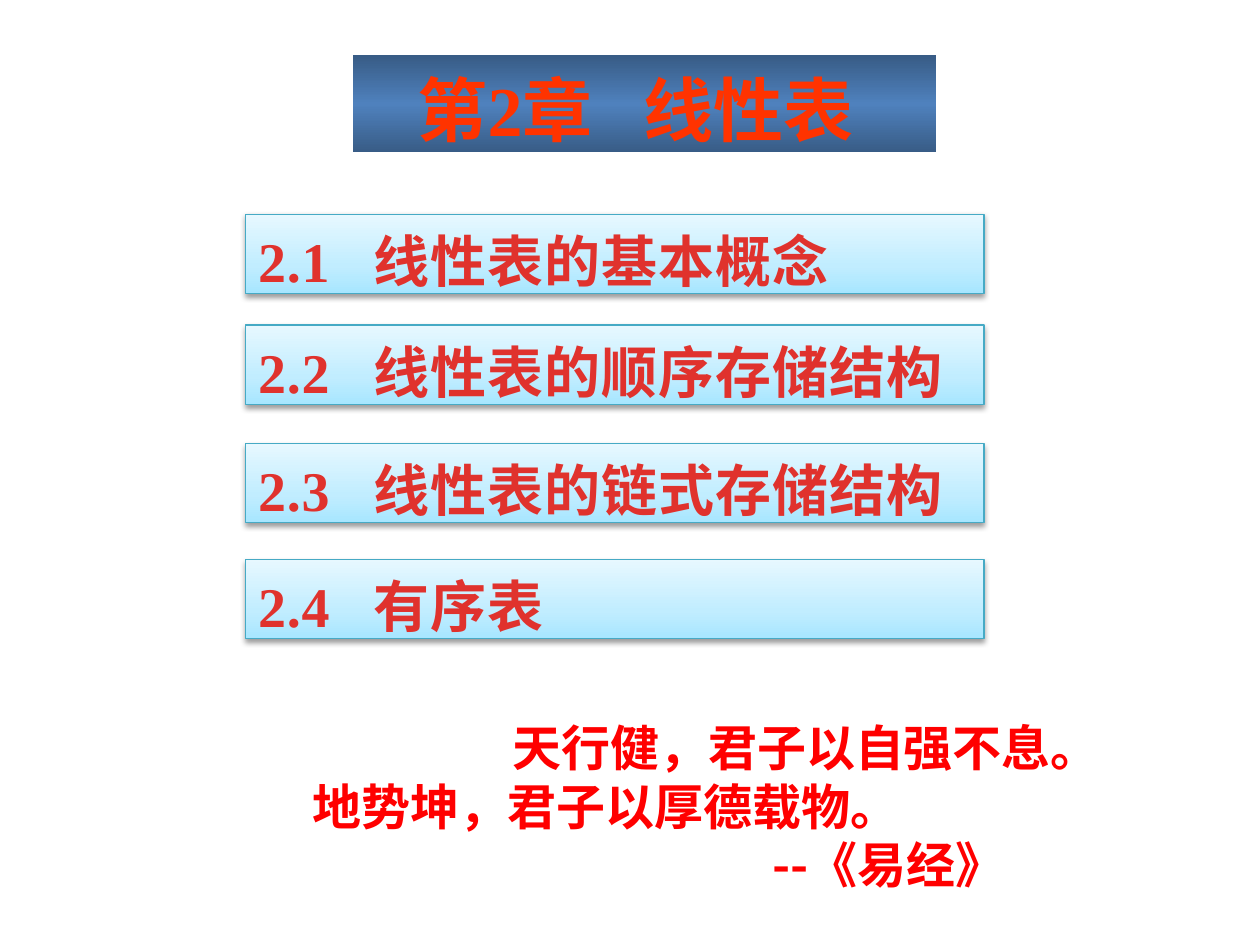
import pptx
import pptx.dml.color
import pptx.enum.shapes
import pptx.enum.text
import pptx.oxml
import pptx.oxml.ns
import pptx.util
from dataclasses import dataclass
from lxml import etree

inch, pt = pptx.util.Inches, pptx.util.Pt
qn = pptx.oxml.ns.qn


@dataclass(frozen=True)
class Theme:
    latin: str = "Times New Roman"
    cjk: str = "Noto Sans CJK SC"
    title_size: int = 40
    section_size: int = 32
    quote_size: int = 28
    title: str = "FF3300"
    quote: str = "FF0000"
    border: str = "46AAC5"
    # Stops are (percent, colour, shade percent)
    title_fill: tuple = ((0, "4F81BD", 46), (50, "4F81BD", 100), (100, "4F81BD", 46))
    section_fill: tuple = ((0, "A7E6FF", 100), (35, "C1EDFF", 100), (100, "E7F8FF", 100))
    section_text: tuple = ((25, "E0322D", 100), (100, "A2201C", 100))


THEME = Theme()
WIDTH, HEIGHT = 10, 7.5
SECTION_LEFT, SECTION_WIDTH, SECTION_HEIGHT = 1.95, 5.86, 0.63
SECTIONS = (
    (1.7, "2.1", "线性表的基本概念"),
    (2.58, "2.2", "线性表的顺序存储结构"),
    (3.52, "2.3", "线性表的链式存储结构"),
    (4.44, "2.4", "有序表"),
)
QUOTE = (
    (3.51, "天行健，君子以自强不息。"),
    (1.92, "地势坤，君子以厚德载物。"),
    (5.57, "--《易经》"),
)


def add_child(parent, tag, **attrs):
    values = {name: str(value) for name, value in attrs.items()}
    return etree.SubElement(parent, qn(tag), values)


def set_gradient(fill, owner, stops, angle):
    """Fill with any number of stops; angle runs counter-clockwise."""
    fill.gradient()
    fill.gradient_angle = angle
    stop_list = owner.find(".//" + qn("a:gsLst"))
    for old in list(stop_list):
        stop_list.remove(old)
    for position, rgb, shade in stops:
        stop = add_child(stop_list, "a:gs", pos=position * 1000)
        color = add_child(stop, "a:srgbClr", val=rgb)
        if shade < 100:
            add_child(color, "a:shade", val=shade * 1000)


def add_shadow(s):
    effects = s._element.spPr.find(qn("a:effectLst"))
    shadow = add_child(effects, "a:outerShdw", blurRad=pt(3.1), dist=pt(1.6),
                       dir=90 * 60000, rotWithShape=0)
    color = add_child(shadow, "a:srgbClr", val="000000")
    add_child(color, "a:alpha", val=38000)


def add_bar(slide, box, stops, angle):
    s = slide.shapes.add_shape(pptx.enum.shapes.MSO_SHAPE.RECTANGLE, *map(inch, box))
    s.shadow.inherit = False
    set_gradient(s.fill, s._element.spPr, stops, angle)
    s.line.fill.background()
    return s


def format_frame(tf, **margins):
    values = {"word_wrap": True, "vertical_anchor": pptx.enum.text.MSO_ANCHOR.TOP}
    for name, value in {**values, **margins}.items():
        setattr(tf, name, value)


def format_paragraph(p, line, align=pptx.enum.text.PP_ALIGN.LEFT):
    for name, value in {"alignment": align, "line_spacing": pt(line)}.items():
        setattr(p, name, value)


def add_run(p, text, size, latin, color=None, spacing=0):
    r = p.add_run()
    r.text = text
    for name, value in {"name": latin, "size": pt(size), "bold": True}.items():
        setattr(r.font, name, value)
    if color:
        r.font.color.rgb = pptx.dml.color.RGBColor.from_string(color)
    else:
        set_gradient(r.font.fill, r._r, THEME.section_text, 270)
    rpr = r._r.get_or_add_rPr()
    rpr.set("spc", str(int(spacing * 100)))
    ea = etree.Element(qn("a:ea"), typeface=THEME.cjk)
    rpr.find(qn("a:latin")).addnext(ea)


def add_title(slide):
    s = add_bar(slide, (2.8, 0.44, 4.63, 0.77), THEME.title_fill, 270)
    format_frame(s.text_frame, margin_right=inch(0.24))
    p = s.text_frame.paragraphs[0]
    format_paragraph(p, 50.8, pptx.enum.text.PP_ALIGN.CENTER)
    for text, spacing in (("第2章", 0), (" ", 20), ("线性表", 0)):
        add_run(p, text, THEME.title_size, THEME.latin, THEME.title, spacing)


def add_section(slide, top, number, name):
    box = (SECTION_LEFT, top, SECTION_WIDTH, SECTION_HEIGHT)
    s = add_bar(slide, box, THEME.section_fill, 90)
    s.line.color.rgb = pptx.dml.color.RGBColor.from_string(THEME.border)
    s.line.width = pt(0.75)
    add_shadow(s)
    format_frame(s.text_frame)
    p = s.text_frame.paragraphs[0]
    format_paragraph(p, 42)
    tabs = add_child(p._p.get_or_add_pPr(), "a:tabLst")
    add_child(tabs, "a:tab", pos=inch(0.92), algn="l")
    add_run(p, f"{number}\t{name}", THEME.section_size, THEME.latin, spacing=0.5)


def add_quote(slide):
    s = slide.shapes.add_textbox(*map(inch, (0.46, 5.61, 9.52, 1.75)))
    tf = s.text_frame
    format_frame(tf, margin_top=inch(0.09))
    for i, (indent, text) in enumerate(QUOTE):
        p = tf.add_paragraph() if i else tf.paragraphs[0]
        format_paragraph(p, 33.4)
        p._p.get_or_add_pPr().set("marL", str(inch(indent)))
        add_run(p, text, THEME.quote_size, THEME.cjk, THEME.quote)


def main():
    prs = pptx.Presentation()
    prs.slide_width, prs.slide_height = inch(WIDTH), inch(HEIGHT)
    slide = prs.slides.add_slide(prs.slide_layouts[6])
    add_title(slide)
    for section in SECTIONS:
        add_section(slide, *section)
    add_quote(slide)
    prs.save("out.pptx")


if __name__ == "__main__":
    main()
